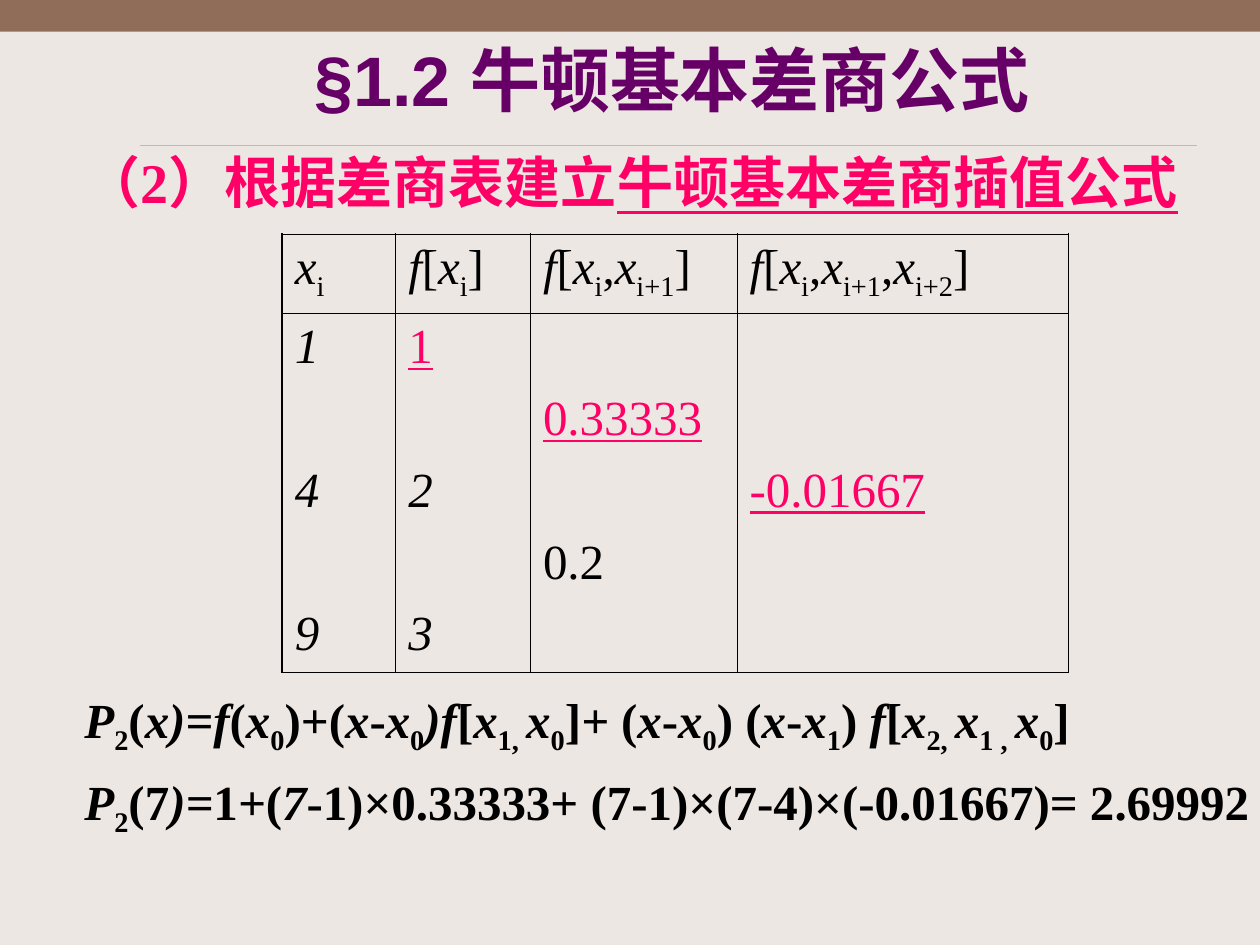
import pptx
import pptx.dml.color
import pptx.enum.shapes
import pptx.enum.text
import pptx.oxml
import pptx.oxml.ns
import pptx.util

COLORS = {
    "band": "906D58",
    "paper": "EDE7E3",
    "rule": "CBBD83",
    "title": "660066",
    "accent": "FF0066",
    "ink": "000000",
}
WIDTH, HEIGHT = pptx.util.Inches(10), pptx.util.Inches(7.5)
COLUMN, ROW = WIDTH / 10, HEIGHT / 7.5  # the slide is a grid of 10 by 7.5 units
OUTER, INNER = 1.08, 0.45  # table line widths in points

# In marked text, / toggles italic, _ toggles subscript, ~ toggles underline.
HEADERS = ["/x/_i_", "/f/[/x/_i_]", "/f/[/x/_i_,/x/_i+1_]",
           "/f/[/x/_i_,/x/_i+1_,/x/_i+2_]"]
DIFFERENCES = [
    ["/1/", "~1~", "", ""],
    ["", "", "~0.33333~", ""],
    ["/4/", "/2/", "", "~-0.01667~"],
    ["", "", "0.2", ""],
    ["/9/", "/3/", "", ""],
]
COLUMN_SHARES = [0.9, 1.07, 1.64, 2.63]
FORMULAS = [
    "/P/_2_(/x)=f/(/x/_0_)+(/x/-/x/_0_/)f/[/x/_1, _/x/_0_]/+/ (/x/-/x/_0_)"
    " (/x/-/x/_1_) /f/[/x/_2, _/x/_1 , _/x/_0_]",
    "/P/_2_(7/)=/1/+/(/7/-1)×0.33333+ (7-1)×(7-4)×(-0.01667)= 2.69992",
]


def rgb(name):
    return pptx.dml.color.RGBColor.from_string(COLORS[name])


def place(left, top, width, height):
    """Turn grid units into slide lengths."""
    return [pptx.util.Emu(round(length)) for length in
            (left * COLUMN, top * ROW, width * COLUMN, height * ROW)]


def split_marks(text):
    """Yield each stretch of marked text with the set of marks open on it."""
    marks, stretch = set(), ""
    for letter in text:
        if letter in "/_~":
            if stretch:
                yield stretch, set(marks)
            stretch = ""
            marks ^= {letter}
        else:
            stretch += letter
    if stretch:
        yield stretch, marks


def write(paragraph, text, size, color, font="Times New Roman", bold=False,
          underline_color=None):
    paragraph.font.size = pptx.util.Pt(size)
    paragraph.font.name = font
    paragraph.font.bold = bold
    paragraph.font.color.rgb = rgb(color)
    for stretch, marks in split_marks(text):
        run = paragraph.add_run()
        run.text = stretch
        if "/" in marks:
            run.font.italic = True
        if "_" in marks:
            run.font._element.set("baseline", "-25000")
        if "~" in marks:
            run.font.underline = True
            if underline_color:
                run.font.color.rgb = rgb(underline_color)


def add_backdrop(slide, box, rule_box):
    slide.background.fill.solid()
    slide.background.fill.fore_color.rgb = rgb("band")
    paper = slide.shapes.add_shape(
        pptx.enum.shapes.MSO_SHAPE.RECTANGLE, *place(*box))
    paper.shadow.inherit = False
    paper.fill.solid()
    paper.fill.fore_color.rgb = rgb("paper")
    paper.line.fill.background()

    left, top, width, height = place(*rule_box)
    rule = slide.shapes.add_connector(
        pptx.enum.shapes.MSO_CONNECTOR.STRAIGHT,
        left, top, left + width, top + height)
    rule.line.color.rgb = rgb("rule")
    rule.line.width = pptx.util.Pt(0.25)
    properties = rule._element.spPr
    properties.append(properties.makeelement(pptx.oxml.ns.qn("a:effectLst"), {}))


def fill_title(slide, box, text):
    title = slide.shapes.title
    title.left, title.top, title.width, title.height = place(*box)
    frame = title.text_frame
    frame.auto_size = pptx.enum.text.MSO_AUTO_SIZE.NONE
    frame.vertical_anchor = pptx.enum.text.MSO_ANCHOR.MIDDLE
    paragraph = frame.paragraphs[0]
    paragraph.alignment = pptx.enum.text.PP_ALIGN.CENTER
    write(paragraph, text, 40, "title", "Arial", bold=True)
    slide.shapes._spTree.append(title._element)  # in front of the backdrop


def add_lines(slide, box, lines, size, color, line_spacing, gap=0, hanging=0):
    frame = slide.shapes.add_textbox(*place(*box)).text_frame
    frame.word_wrap = True
    frame.auto_size = pptx.enum.text.MSO_AUTO_SIZE.SHAPE_TO_FIT_TEXT
    frame.margin_left = frame.margin_right = 0
    frame.margin_top = frame.margin_bottom = 0
    for number, line in enumerate(lines):
        paragraph = frame.add_paragraph() if number else frame.paragraphs[0]
        paragraph.line_spacing = line_spacing
        if number:
            paragraph.space_before = pptx.util.Pt(gap)
        if hanging:
            indent = round(hanging * COLUMN)
            paragraph._p.get_or_add_pPr().set("marL", str(indent))
            paragraph._p.get_or_add_pPr().set("indent", str(-indent))
        write(paragraph, line, size, color, bold=True)


def set_borders(cell, **widths):
    """Draw the sides L, R, T and B in the given widths; 0 leaves a side bare."""
    properties = cell._tc.get_or_add_tcPr()
    for position, (side, width) in enumerate(widths.items()):
        paint = (f'<a:solidFill><a:srgbClr val="{COLORS["ink"]}"/></a:solidFill>'
                 if width else "<a:noFill/>")
        properties.insert(position, pptx.oxml.parse_xml(
            f'<a:ln{side} {pptx.oxml.ns.nsdecls("a")} '
            f'w="{pptx.util.Pt(width)}">{paint}</a:ln{side}>'))


def add_difference_table(slide, box, header_height, row_height):
    rows = [HEADERS] + DIFFERENCES
    last_row, last_column = len(rows) - 1, len(HEADERS) - 1
    table = slide.shapes.add_table(len(rows), len(HEADERS), *place(*box)).table
    table.first_row = table.horz_banding = False
    for column, share in zip(table.columns, COLUMN_SHARES):
        column.width = round(share / sum(COLUMN_SHARES) * box[2] * COLUMN)
    for r, texts in enumerate(rows):
        table.rows[r].height = round((row_height if r else header_height) * ROW)
        for c, text in enumerate(texts):
            cell = table.cell(r, c)
            cell.fill.background()
            set_borders(
                cell,
                L=INNER if c else OUTER,
                R=OUTER if c == last_column else INNER,
                T=OUTER if r == 0 else INNER if r == 1 else 0,
                B=INNER if r == 0 else OUTER if r == last_row else 0)
            if text:
                write(cell.text_frame.paragraphs[0], text, 28, "ink",
                      underline_color="accent")


def main():
    deck = pptx.Presentation()
    deck.slide_width, deck.slide_height = WIDTH, HEIGHT
    slide = deck.slides.add_slide(deck.slide_layouts.get_by_name("Title Only"))
    add_backdrop(slide, (0, 0.25, 10, 7.25), (1.11, 1.15, 8.39, 0))
    fill_title(slide, (1.17, 0.25, 8.33, 0.74), "§1.2 牛顿基本差商公式")
    add_difference_table(slide, (2.24, 1.86, 6.24, 3.48), 0.63, 0.57)
    add_lines(slide, (0.67, 5.48, 9.33, 1.13), FORMULAS, 28, "ink",
              line_spacing=0.9, gap=12.2, hanging=0.28)
    add_lines(slide, (0.67, 1.32, 9, 0.37),
              ["（2）根据差商表建立~牛顿基本差商插值公式~"], 32, "accent",
              line_spacing=0.7)
    deck.save("out.pptx")


if __name__ == "__main__":
    main()
